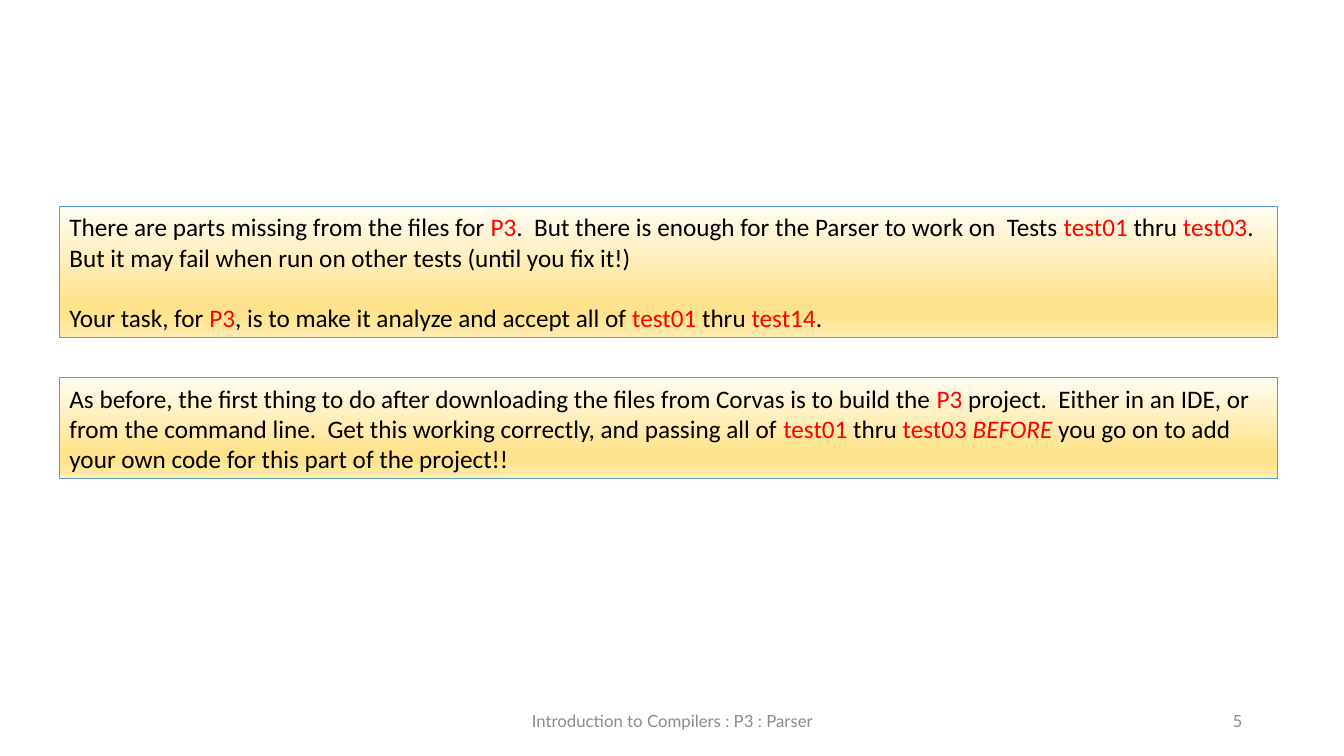
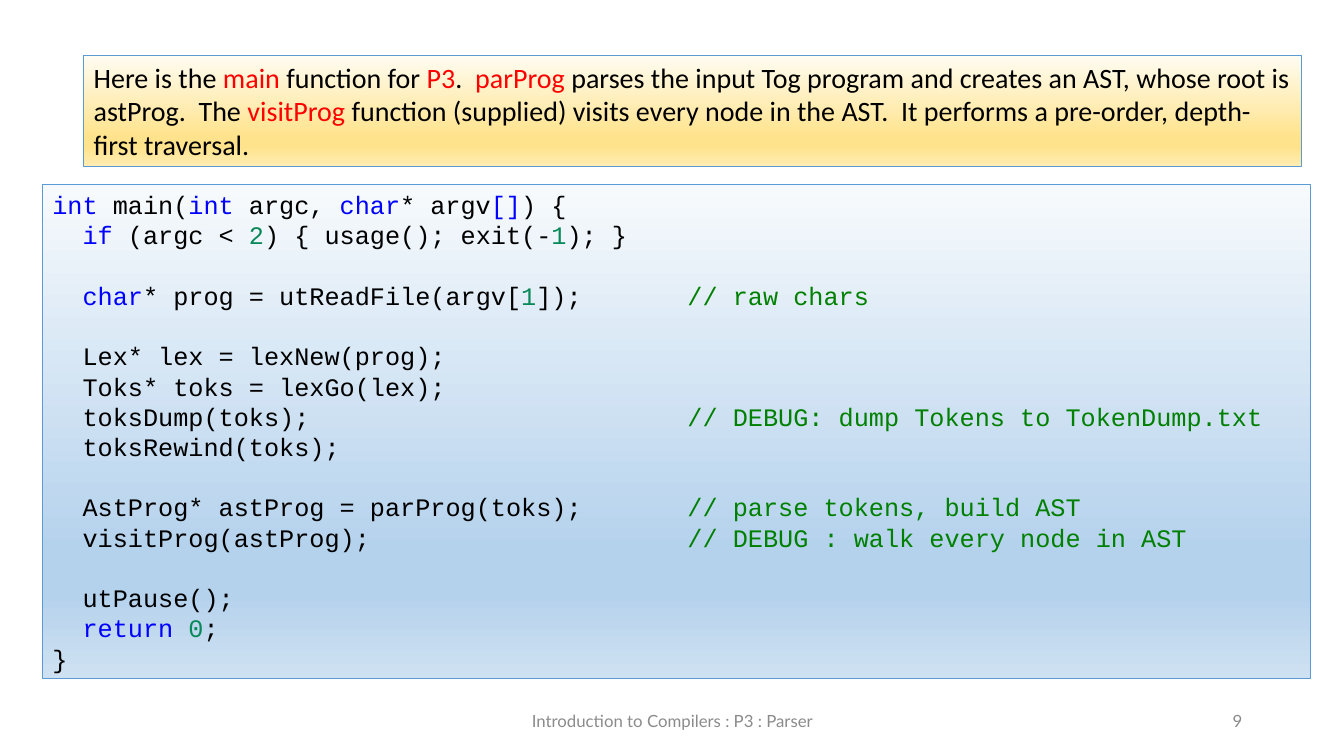
import pptx
import pptx.util
import pptx.dml.color
import pptx.enum.shapes
import pptx.enum.text
import pptx.oxml
import pptx.oxml.ns

Inches = pptx.util.Inches
Pt = pptx.util.Pt
ALIGN = pptx.enum.text.PP_ALIGN
ANCHOR = pptx.enum.text.MSO_ANCHOR

COLORS = {
    "text": "000000", "mark": "FF0000", "stress": "FF0000", "foot": "8B8B8B",
    "edge": "5B9BD5", "key": "0000FF", "num": "09885A", "note": "008000",
}
GOLD = ((0, "FFFCF2"), (74, "FFE38C"), (83, "FFE38C"), (100, "FFECB2"))
BLUE = ((0, "F7FAFD"), (74, "B5D2EC"), (83, "B5D2EC"), (100, "CEE1F2"))
FOOTER = "Introduction to Compilers : P3 : Parser"
LINE = Pt(21.6)
TABS = (0.3, 6.3)  # code indent and comment column, in inches

TASK = (
    ("There are parts missing from the files for ", ("mark", "P3"),
     ".  But there is enough for the Parser to work on  Tests ",
     ("mark", "test01"), " thru ", ("mark", "test03"),
     ".  But it may fail when run on other tests (until you fix it!)"),
    ("Your task, for ", ("mark", "P3"), ", is to make it analyze and accept all of ",
     ("mark", "test01"), " thru ", ("mark", "test14"), "."),
)
BUILD = (
    ("As before, the first thing to do after downloading the files from Corvas "
     "is to build the ", ("mark", "P3"),
     " project.  Either in an IDE, or from the command line.  Get this working "
     "correctly, and passing all of ", ("mark", "test01"), " thru ",
     ("mark", "test03 "), ("stress", "BEFORE"),
     " you go on to add your own code for this part of the project!!"),
)
INTRO = (
    ("Here is the ", ("mark", "main"), " function for ", ("mark", "P3"), ".  ",
     ("mark", "parProg"),
     " parses the input Tog program and creates an AST, whose root is astProg.  The ",
     ("mark", "visitProg"),
     " function (supplied) visits every node in the AST.  It performs a "
     "pre-order, depth-first traversal."),
)
# Each group of lines is set apart by one line of space.
CODE = (
    ((("key", "int"), " main(", ("key", "int"), " argc, ", ("key", "char"),
      "* argv", ("key", "[]"), ") {"),
     ("\t", ("key", "if"), " (argc < ", ("num", "2"), ") { usage(); exit(-",
      ("num", "1"), "); }")),
    (("\t", ("key", "char"), "* prog = utReadFile(argv[", ("num", "1"), "]);\t",
      ("note", "// raw chars")),),
    (("\tLex* lex = lexNew(prog);",),
     ("\tToks* toks = lexGo(lex);",),
     ("\ttoksDump(toks);\t", ("note", "// DEBUG: dump Tokens to TokenDump.txt")),
     ("\ttoksRewind(toks);",)),
    (("\tAstProg* astProg = parProg(toks);\t",
      ("note", "// parse tokens, build AST")),
     ("\tvisitProg(astProg);\t", ("note", "// DEBUG : walk every node in AST"))),
    (("\tutPause();",),
     ("\t", ("key", "return "), ("num", "0"), ";"),
     ("}",)),
)


def paint(hue):
    """Return the colour object for a hex string."""
    return pptx.dml.color.RGBColor.from_string(hue)


def add_run(para, text, size, font, kind="text"):
    """Add one run in the style of its kind."""
    run = para.add_run()
    run.text = text
    run.font.size = Pt(size)
    run.font.name = font
    run.font.italic = kind == "stress"
    run.font.color.rgb = paint(COLORS[kind])


def add_para(frame, parts, size, font, gap=False):
    """Write one left-aligned paragraph and return it."""
    first = frame.paragraphs[0]
    para = frame.add_paragraph() if first.runs else first
    para.alignment = ALIGN.LEFT
    if gap:
        para.space_before = LINE
    for part in parts:
        kind, text = ("text", part) if isinstance(part, str) else part
        add_run(para, text, size, font, kind)
    return para


def set_tabs(para):
    """Give a code line its two tab stops."""
    stops = "".join(f'<a:tab pos="{Inches(pos)}" algn="l"/>' for pos in TABS)
    space = pptx.oxml.ns.nsdecls("a")
    tree = pptx.oxml.parse_xml(f"<a:tabLst {space}>{stops}</a:tabLst>")
    para._p.get_or_add_pPr().append(tree)


def fade(shape, stops):
    """Fill a shape with a gradient that runs from top to bottom."""
    shape.fill.gradient()
    grad = shape._element.spPr.find(pptx.oxml.ns.qn("a:gradFill"))
    steps = "".join(f'<a:gs pos="{pos * 1000}"><a:srgbClr val="{hue}"/></a:gs>'
                    for pos, hue in stops)
    space = pptx.oxml.ns.nsdecls("a")
    tree = pptx.oxml.parse_xml(
        f'<a:gradFill {space} rotWithShape="1"><a:gsLst>{steps}</a:gsLst>'
        '<a:lin ang="5400000" scaled="0"/></a:gradFill>')
    grad.getparent().replace(grad, tree)


def add_panel(slide, left, top, width, height, stops):
    """Add an outlined gradient box and return its text frame."""
    kind = pptx.enum.shapes.MSO_SHAPE.RECTANGLE
    panel = slide.shapes.add_shape(kind, Inches(left), Inches(top),
                                   Inches(width), Inches(height))
    panel.shadow.inherit = False
    fade(panel, stops)
    panel.line.color.rgb = paint(COLORS["edge"])
    panel.line.width = Pt(0.75)
    frame = panel.text_frame
    frame.word_wrap = True
    frame.vertical_anchor = ANCHOR.TOP
    return frame


def add_prose(slide, left, top, height, paras, size=18):
    """Add a gold box of paragraphs, one line apart."""
    frame = add_panel(slide, left, top, 12.08, height, GOLD)
    for num, parts in enumerate(paras):
        add_para(frame, parts, size, "Calibri", gap=num > 0)


def add_code(slide, left, top, width, height, groups):
    """Add a blue box of code lines in spaced groups."""
    frame = add_panel(slide, left, top, width, height, BLUE)
    for num, group in enumerate(groups):
        for row, parts in enumerate(group):
            para = add_para(frame, parts, 18, "Courier New",
                            gap=num > 0 and row == 0)
            para.line_spacing = LINE
            set_tabs(para)


def add_foot(slide, left, width, text, align):
    """Add one grey text on the footer line."""
    box = slide.shapes.add_textbox(Inches(left), Inches(6.95),
                                   Inches(width), Inches(0.4))
    frame = box.text_frame
    frame.word_wrap = True
    frame.vertical_anchor = ANCHOR.MIDDLE
    para = frame.paragraphs[0]
    para.alignment = align
    add_run(para, text, 12, "Lato", "foot")


def add_slide(deck, page):
    """Add a blank slide with its footer and page number."""
    slide = deck.slides.add_slide(deck.slide_layouts[6])
    add_foot(slide, 4.42, 4.5, FOOTER, ALIGN.CENTER)
    add_foot(slide, 9.42, 3, str(page), ALIGN.RIGHT)
    return slide


def main():
    """Build and save the deck."""
    deck = pptx.Presentation()
    deck.slide_width = Inches(13.33)
    deck.slide_height = Inches(7.5)

    slide = add_slide(deck, 5)
    add_prose(slide, 0.59, 2.05, 1.3, TASK)
    add_prose(slide, 0.59, 3.75, 1, BUILD)

    slide = add_slide(deck, 9)
    add_code(slide, 0.42, 1.83, 12.58, 4.9, CODE)
    add_prose(slide, 0.83, 0.55, 1.1, INTRO, size=20)

    deck.save("out.pptx")


main()
